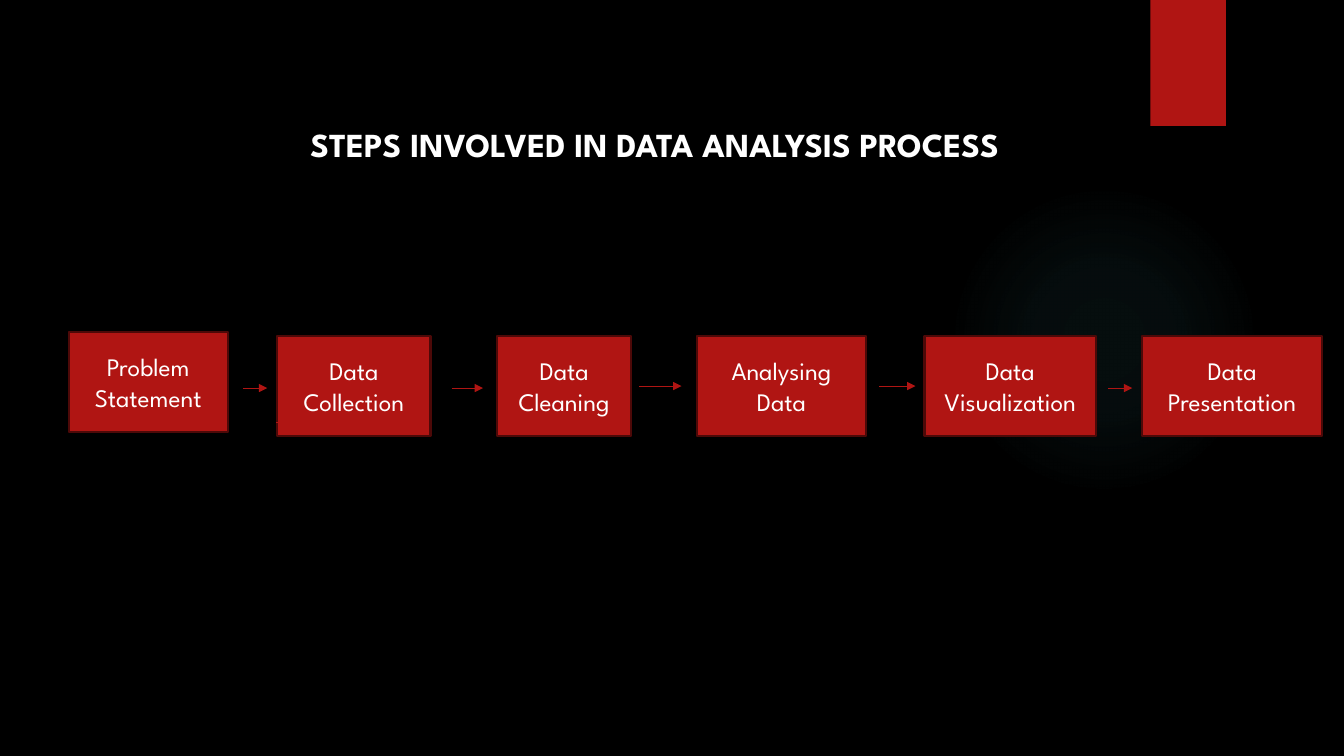
"""Build a slide showing the six steps of the data analysis process."""
from lxml import etree
from pptx import Presentation
from pptx.dml.color import RGBColor
from pptx.enum.shapes import MSO_CONNECTOR, MSO_SHAPE
from pptx.enum.text import MSO_ANCHOR, PP_ALIGN
from pptx.oxml import parse_xml
from pptx.oxml.ns import nsdecls, qn
from pptx.util import Inches, Pt

TITLE = "STEPS INVOLVED IN DATA ANALYSIS PROCESS"
FONT = "League Spartan"
BLACK, WHITE, RED, MAROON, TEAL = "000000", "FFFFFF", "B01513", "4D0908", "50B9C1"
STEP_HEIGHT = 1
STEPS = [
    ("Problem Statement", 0.68, 3.29, 1.58),
    ("Data Collection", 2.75, 3.33, 1.52),
    ("Data Cleaning", 4.93, 3.33, 1.33),
    ("Analysing Data", 6.91, 3.33, 1.68),
    ("Data Visualization", 9.17, 3.33, 1.7),
    ("Data Presentation", 11.33, 3.33, 1.78),
]
ARROWS = [
    (2.41, 2.65, 3.85),
    (6.34, 6.76, 3.83),
    (2.74, 2.98, 4.19),
    (8.72, 9.08, 3.83),
    (10.99, 11.23, 3.85),
    (4.48, 4.79, 3.85),
]
GLOW_STOPS = [(0, 7), (36, 6), (69, 0)]


def paint(fmt, color):
    fmt.solid()
    fmt.fore_color.rgb = RGBColor.from_string(color)


def add_block(slide, kind, left, top, width, height):
    sp = slide.shapes.add_shape(
        kind, Inches(left), Inches(top), Inches(width), Inches(height))
    sp.shadow.inherit = False
    paint(sp.fill, RED)
    sp.line.fill.background()
    return sp


def add_glow(slide):
    sp = add_block(slide, MSO_SHAPE.OVAL, 9.41, 1.83, 3.08, 3.08)
    stops = "".join(
        f'<a:gs pos="{pos * 1000}"><a:srgbClr val="{TEAL}">'
        f'<a:alpha val="{alpha * 1000}"/></a:srgbClr></a:gs>'
        for pos, alpha in GLOW_STOPS)
    gradient = parse_xml(
        f'<a:gradFill {nsdecls("a")}><a:gsLst>{stops}</a:gsLst><a:path path="circle">'
        '<a:fillToRect l="50000" t="50000" r="50000" b="50000"/></a:path></a:gradFill>')
    sp_pr = sp._element.spPr
    sp_pr.replace(sp_pr.find(qn("a:solidFill")), gradient)


def write(tf, text, size, bold=False, align=None):
    tf.word_wrap = True
    p = tf.paragraphs[0]
    p.text = text
    p.alignment = align
    p.font.name = FONT
    p.font.size = Pt(size)
    p.font.bold = bold
    p.font.color.rgb = RGBColor.from_string(WHITE)


def add_step(slide, text, left, top, width):
    sp = add_block(slide, MSO_SHAPE.RECTANGLE, left, top, width, STEP_HEIGHT)
    paint(sp.line.fill, MAROON)
    sp.line.width = Pt(1.5)
    sp.text_frame.vertical_anchor = MSO_ANCHOR.MIDDLE
    write(sp.text_frame, text, 18, align=PP_ALIGN.CENTER)


def add_arrow(slide, start, end, y):
    arrow = slide.shapes.add_connector(
        MSO_CONNECTOR.STRAIGHT, Inches(start), Inches(y), Inches(end), Inches(y))
    paint(arrow.line.fill, RED)
    arrow.line.width = Pt(0.75)
    etree.SubElement(arrow.line._get_or_add_ln(), qn("a:tailEnd"), type="triangle")
    etree.SubElement(arrow._element.spPr, qn("a:effectLst"))


def main():
    prs = Presentation()
    prs.slide_width, prs.slide_height = Inches(13.33), Inches(7.5)
    slide = prs.slides.add_slide(prs.slide_layouts[6])
    paint(slide.background.fill, BLACK)
    add_glow(slide)
    add_block(slide, MSO_SHAPE.RECTANGLE, 11.41, 0, 0.75, 1.25)
    for step in STEPS:
        add_step(slide, *step)
    for arrow in ARROWS:
        add_arrow(slide, *arrow)
    title = slide.shapes.add_textbox(
        Inches(2.98), Inches(1.18), Inches(7.54), Inches(0.5))
    write(title.text_frame, TITLE, 24, bold=True)
    prs.save("out.pptx")


if __name__ == "__main__":
    main()
